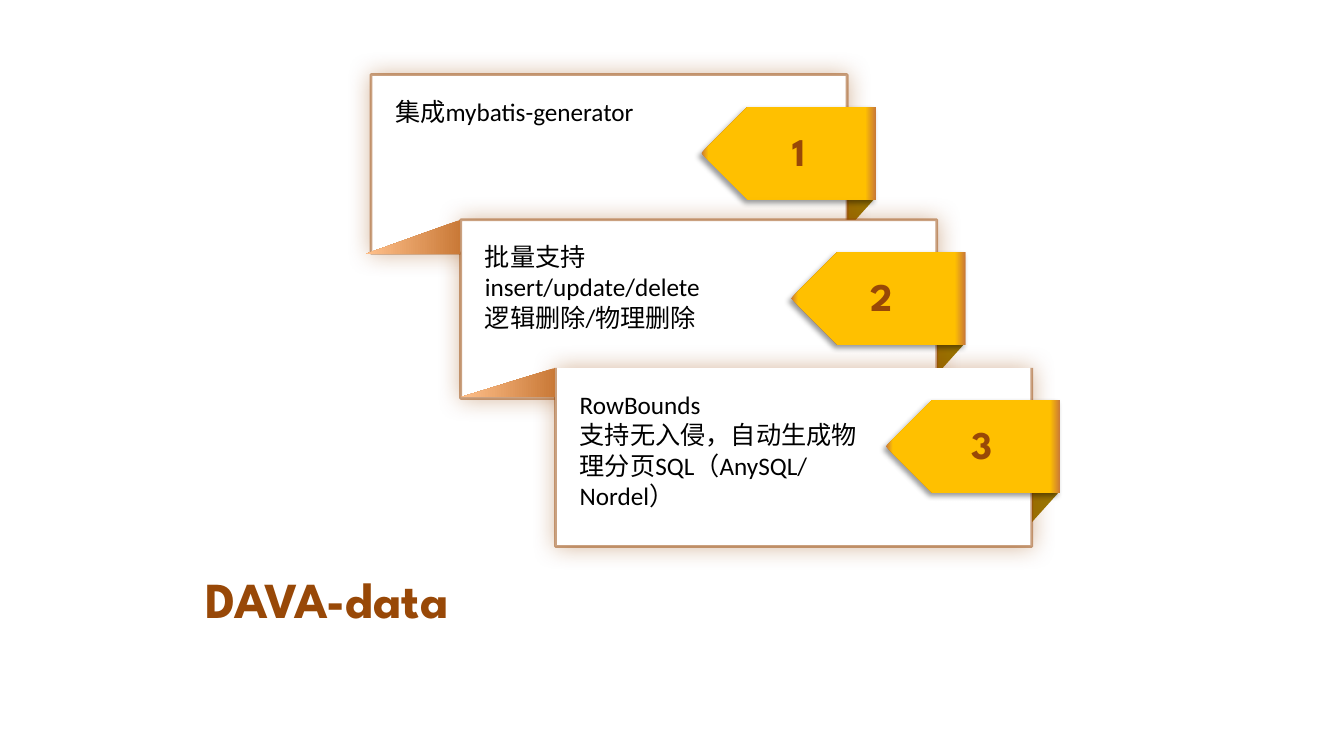
from lxml import etree
from pptx import Presentation
from pptx import util as u
from pptx.dml.color import RGBColor
from pptx.enum import shapes, text
from pptx.oxml.ns import qn

BROWN = RGBColor(0x98, 0x48, 0x07)
BLACK = RGBColor(0, 0, 0)
WHITE = RGBColor(0xFF, 0xFF, 0xFF)
AMBER = RGBColor(0xFF, 0xC0, 0x00)
COPPER = RGBColor(0xC9, 0x79, 0x37)
PEACH = RGBColor(0xFF, 0xC0, 0x8B)
OLIVE = RGBColor(0x9A, 0x75, 0x00)

PANEL_W, PANEL_H = 12, 4.5
RIBBON_W = 2.39
STEPS = [
    (9.35, 1.88, 9.14, ["集成mybatis-generator"]),
    (11.61, 5.54, 8.97, ["批量支持", "insert/update/delete", "逻辑删除/物理删除"]),
    (14, 9.27, 9.12, ["RowBounds", "支持无入侵，自动生成物理分页SQL（AnySQL/Nordel）"]),
]
RIBBON_HEIGHTS = [0.86, 0.74]


def box(left, top, width, height):
    return [u.Cm(length) for length in (left, top, width, height)]


def add_color(parent, color, alpha=100):
    node = etree.SubElement(parent, qn("a:srgbClr"), val=str(color))
    if alpha < 100:
        etree.SubElement(node, qn("a:alpha"), val=str(alpha * 1000))


def cast_shadow(part, color, alpha, blur, distance, angle):
    part.shadow.inherit = False
    effects = part._element.spPr.find(qn("a:effectLst"))
    shadow = etree.SubElement(
        effects, qn("a:outerShdw"), blurRad=str(u.Pt(blur)), dist=str(u.Pt(distance)),
        dir=str(angle * 60000), algn="ctr", rotWithShape="0")
    add_color(shadow, color, alpha)


def fill_gradient(part, stops, angle):
    part.fill.gradient()
    part.fill.gradient_angle = angle
    stop_list = part._element.spPr.find(".//" + qn("a:gsLst"))
    for old_stop in list(stop_list):
        stop_list.remove(old_stop)
    for position, color in stops:
        add_color(etree.SubElement(stop_list, qn("a:gs"), pos=str(position * 1000)), color)


def add_flipped(slide, preset, frame, vertical=False):
    part = slide.shapes.add_shape(preset, *frame)
    part.shadow.inherit = False
    part.line.fill.background()
    part._element.spPr.xfrm.set("flipH", "1")
    if vertical:
        part._element.spPr.xfrm.set("flipV", "1")
    return part


def add_text(slide, frame, lines, name, size, color, bold=False, centred=False):
    words = slide.shapes.add_textbox(*frame).text_frame
    words.word_wrap = True
    words.auto_size = text.MSO_AUTO_SIZE.SHAPE_TO_FIT_TEXT
    words.text = "\n".join(lines)
    for paragraph in words.paragraphs:
        paragraph.font.name = name
        paragraph.font.size = u.Pt(size)
        paragraph.font.bold = bold
        paragraph.font.color.rgb = color
        if centred:
            paragraph.alignment = text.PP_ALIGN.CENTER
            paragraph.line_spacing = 0.8


def add_panel(slide, left, top, open_top):
    x, y, width, height = box(left, top, PANEL_W, PANEL_H)
    if open_top:
        outline = slide.shapes.build_freeform(x + width, y)
        outline.add_line_segments(
            [(x + width, y + height), (x, y + height), (x, y)], close=False)
        panel = outline.convert_to_shape()
    else:
        panel = slide.shapes.add_shape(shapes.MSO_SHAPE.RECTANGLE, x, y, width, height)
    panel.fill.solid()
    panel.fill.fore_color.rgb = WHITE
    panel.line.color.rgb = BROWN
    panel.line.width = u.Pt(2)
    line_color = panel._element.spPr.find(qn("a:ln")).find(".//" + qn("a:srgbClr"))
    etree.SubElement(line_color, qn("a:alpha"), val="51000")
    cast_shadow(panel, BROWN, 39, 17, 0, 0)


def add_step(slide, left, top, open_top):
    fold = add_flipped(slide, shapes.MSO_SHAPE.RIGHT_TRIANGLE,
                       box(left + 11.38, top + 2.67, 1.09, 0.99), vertical=True)
    fold.rotation = 42
    fold.fill.solid()
    fold.fill.fore_color.rgb = OLIVE
    add_panel(slide, left, top, open_top)
    tag = add_flipped(slide, shapes.MSO_SHAPE.PENTAGON,
                      box(left + 8.33, top + 0.81, 4.39, 2.34))
    fill_gradient(tag, [(0, COPPER), (4, AMBER), (94, AMBER), (100, COPPER)], 180)
    cast_shadow(tag, BLACK, 40, 4, 3, 135)


def add_ribbon(slide, left, top, height):
    ribbon = add_flipped(slide, shapes.MSO_SHAPE.RIGHT_TRIANGLE,
                         box(left, top, RIBBON_W, height))
    fill_gradient(ribbon, [(0, COPPER), (100, PEACH)], 0)


def add_step_text(slide, left, top, number, number_left, lines):
    add_text(slide, box(left + number_left, top + 1.42, 3.28, 1.22), [str(number)],
             "League Spartan", 28, BROWN, bold=True, centred=True)
    add_text(slide, box(left + 0.36, top + 0.42, 7.87, 0.25 + 0.77 * len(lines)), lines,
             "Calibri", 18, BLACK)


def main():
    deck = Presentation()
    deck.slide_width, deck.slide_height = u.Cm(33.87), u.Cm(19.05)
    slide = deck.slides.add_slide(deck.slide_layouts[6])
    for number, (left, top, _, _) in enumerate(STEPS, 1):
        add_step(slide, left, top, open_top=number == len(STEPS))
    for (left, top, _, _), height in zip(STEPS[1:], RIBBON_HEIGHTS):
        add_ribbon(slide, left - RIBBON_W, top, height)
    for number, (left, top, number_left, lines) in enumerate(STEPS, 1):
        add_step_text(slide, left, top, number, number_left, lines)
    add_text(slide, box(4.93, 14.2, 11.2, 1.8), ["DAVA-data"],
             "League Spartan", 36, BROWN, bold=True)
    deck.save("out.pptx")


if __name__ == "__main__":
    main()
